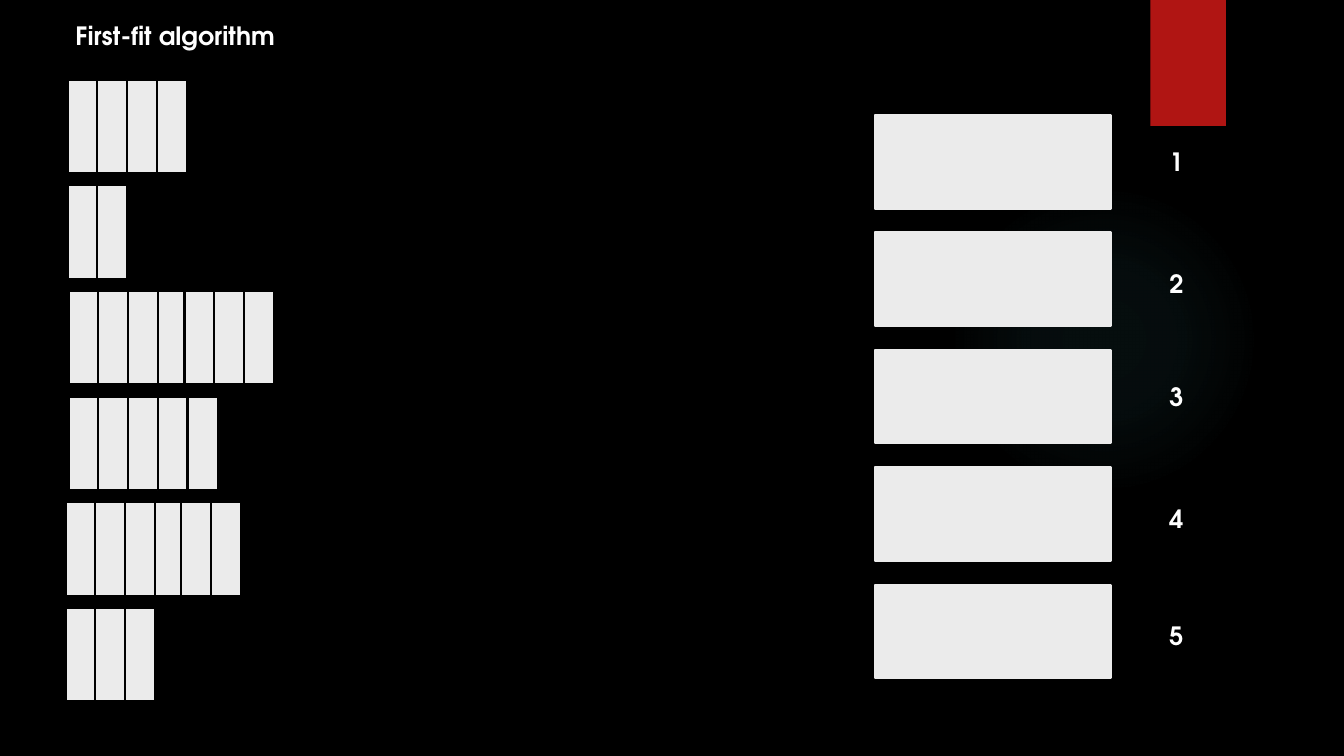
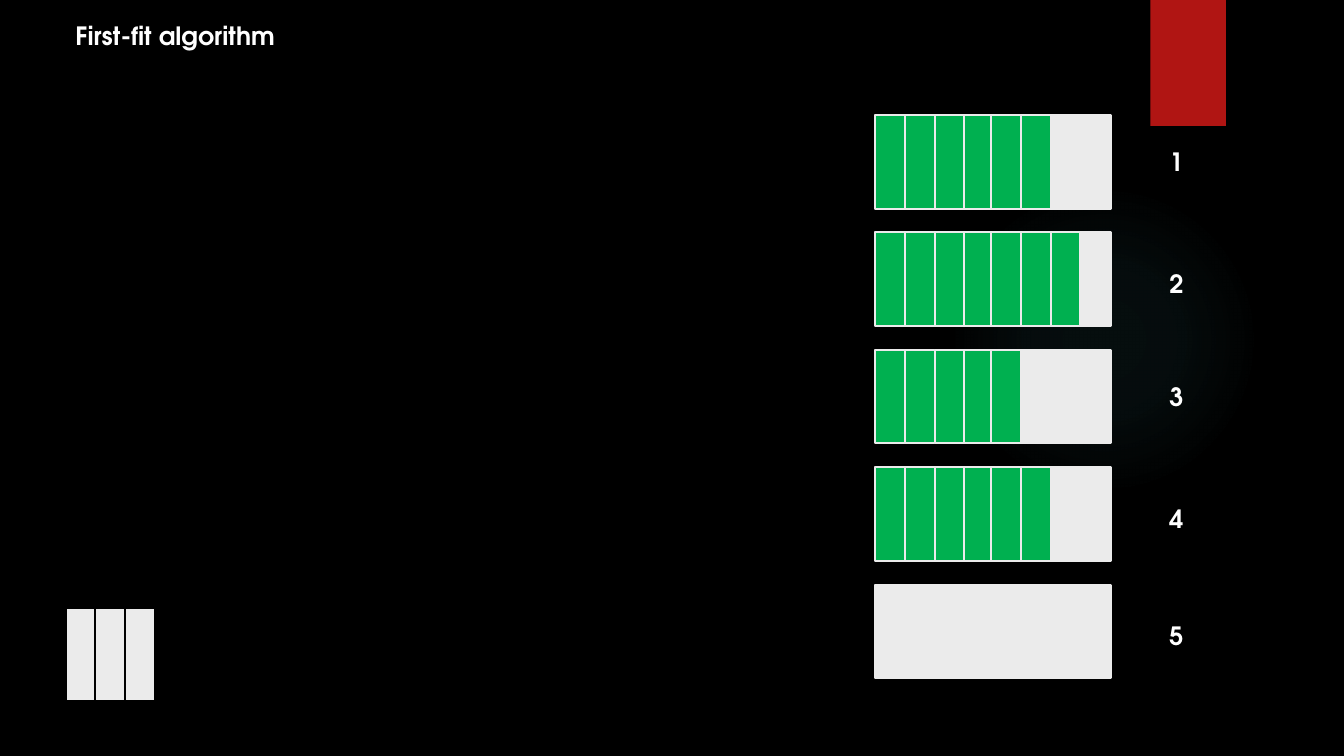
from dataclasses import dataclass
from lxml.etree import SubElement as Sub
from pptx import Presentation
from pptx.dml.color import RGBColor as RGB
from pptx.enum.shapes import MSO_SHAPE as Kind
from pptx.enum.text import MSO_AUTO_SIZE as Auto
from pptx.oxml import parse_xml
from pptx.oxml.ns import nsdecls, qn
from pptx.util import Inches, Pt


@dataclass(frozen=True)
class Theme:
    """Colours, font and sizes of the deck."""
    back: str = "000000"
    text: str = "FFFFFF"
    free: str = "EBEBEB"
    used: str = "00B050"
    tab: str = "B01513"
    glow: str = "50B9C1"
    font: str = "TeX Gyre Adventor"
    size: int = 18
    line: float = 1.5


LOOK = Theme()

CELL = (0.3, 0.93)
PITCH = 0.59 / 2
SHIFT = 0.03  # cells from the fifth on sit this much closer

JOB_TOP, JOB_STEP = 0.79, 5.24 / 5
# left edge, cell count and shift of each waiting job
JOBS = [(0.67, 4, 0), (0.67, 2, 0), (0.68, 7, SHIFT),
        (0.68, 5, 0), (0.65, 6, SHIFT), (0.65, 3, 0)]

BIN_LEFT, BIN_TOP, BIN_STEP, BIN_SIZE = 8.68, 1.14, 4.66 / 4, 8
TAG_LEFT, TAG_TOPS = 11.5, (1.4, 2.61, 3.73, 4.94, 6.11)


def draw(slide, kind, box, fill, line=None):
    """Add one flat shape in the box, outlined if a line colour is given."""
    shape = slide.shapes.add_shape(kind, *map(Inches, box))
    shape.shadow.inherit = False
    shape.fill.solid()
    shape.fill.fore_color.rgb = RGB.from_string(fill)
    if line:
        shape.line.color.rgb = RGB.from_string(line)
        shape.line.width = Pt(LOOK.line)
    else:
        shape.line.fill.background()
    return shape


def label(slide, text, box):
    """Add a bold line of text that does not wrap."""
    frame = slide.shapes.add_textbox(*map(Inches, box)).text_frame
    frame.word_wrap = False
    frame.auto_size = Auto.SHAPE_TO_FIT_TEXT
    run = frame.paragraphs[0].add_run()
    run.text = text
    font = run.font
    font.name, font.size, font.bold = LOOK.font, Pt(LOOK.size), True
    font.color.rgb = RGB.from_string(LOOK.text)


def glow(slide, box):
    """Add a faint round glow that fades outwards."""
    shape = draw(slide, Kind.OVAL, box, LOOK.glow)
    stops = "".join(
        f'<a:gs pos="{pos}000"><a:srgbClr val="{LOOK.glow}">'
        f'<a:alpha val="{alpha}000"/></a:srgbClr></a:gs>'
        for pos, alpha in ((0, 7), (36, 6), (69, 0)))
    fade = parse_xml(
        f'<a:gradFill {nsdecls("a")}><a:gsLst>{stops}</a:gsLst>'
        '<a:path path="circle"><a:fillToRect l="50000" t="50000" '
        'r="50000" b="50000"/></a:path></a:gradFill>')
    props = shape.element.spPr
    props.replace(props.find(qn("a:solidFill")), fade)
    return shape


def tab(slide, box):
    """Add the red tab with its soft shadow."""
    shape = draw(slide, Kind.RECTANGLE, box, LOOK.tab)
    effects = shape.element.spPr.find(qn("a:effectLst"))
    shade = Sub(effects, qn("a:outerShdw"), blurRad=str(Pt(3)),
                dist=str(Pt(2)), dir="5400000", rotWithShape="0")
    tint = Sub(shade, qn("a:srgbClr"), val=LOOK.back)
    Sub(tint, qn("a:alpha"), val="45000")
    return shape


def master(deck, slide):
    """Set the shared backdrop, moving its shapes from slide to master."""
    base = deck.slide_master
    base.background.fill.solid()
    base.background.fill.fore_color.rgb = RGB.from_string(LOOK.back)
    for shape in (glow(slide, (9.41, 1.83, 3.08, 3.08)),
                  tab(slide, (11.41, 0, 0.75, 1.25))):
        base.shapes.element.append(shape.element)


def cells(slide, left, top, fills, line, shift):
    """Draw a row of cells, one for each fill."""
    for i, fill in enumerate(fills):
        x = left + i * PITCH - (shift if i > 3 else 0)
        draw(slide, Kind.RECTANGLE, (x, top, *CELL), fill, line)


def queue(slide, first):
    """Draw the jobs that still wait, from the given one on."""
    for i, (left, count, shift) in enumerate(JOBS):
        if i >= first:
            cells(slide, left, JOB_TOP + i * JOB_STEP,
                  [LOOK.free] * count, LOOK.back, shift)


def bins(slide, loads):
    """Draw the numbered bins, each filled up to its load."""
    for i, load in enumerate(loads):
        fills = [LOOK.used] * load + [LOOK.free] * (BIN_SIZE - load)
        cells(slide, BIN_LEFT, BIN_TOP + i * BIN_STEP, fills,
              LOOK.free, SHIFT)
    for i, top in enumerate(TAG_TOPS, 1):
        label(slide, str(i), (TAG_LEFT, top, 0.34, 0.4))


def stage(slide, first, loads):
    """Fill a slide with one stage of the algorithm."""
    label(slide, "First-fit algorithm", (0.65, 0.15, 2.19, 0.4))
    queue(slide, first)
    bins(slide, loads)


def main():
    """Build and save the deck."""
    deck = Presentation()
    deck.slide_width, deck.slide_height = Inches(13.33), Inches(7.5)
    blank = deck.slide_layouts[6]
    start, late = (deck.slides.add_slide(blank) for _ in range(2))
    master(deck, start)
    stage(start, 0, (0, 0, 0, 0, 0))
    stage(late, 5, (6, 7, 5, 6, 0))
    deck.save("out.pptx")


main()
